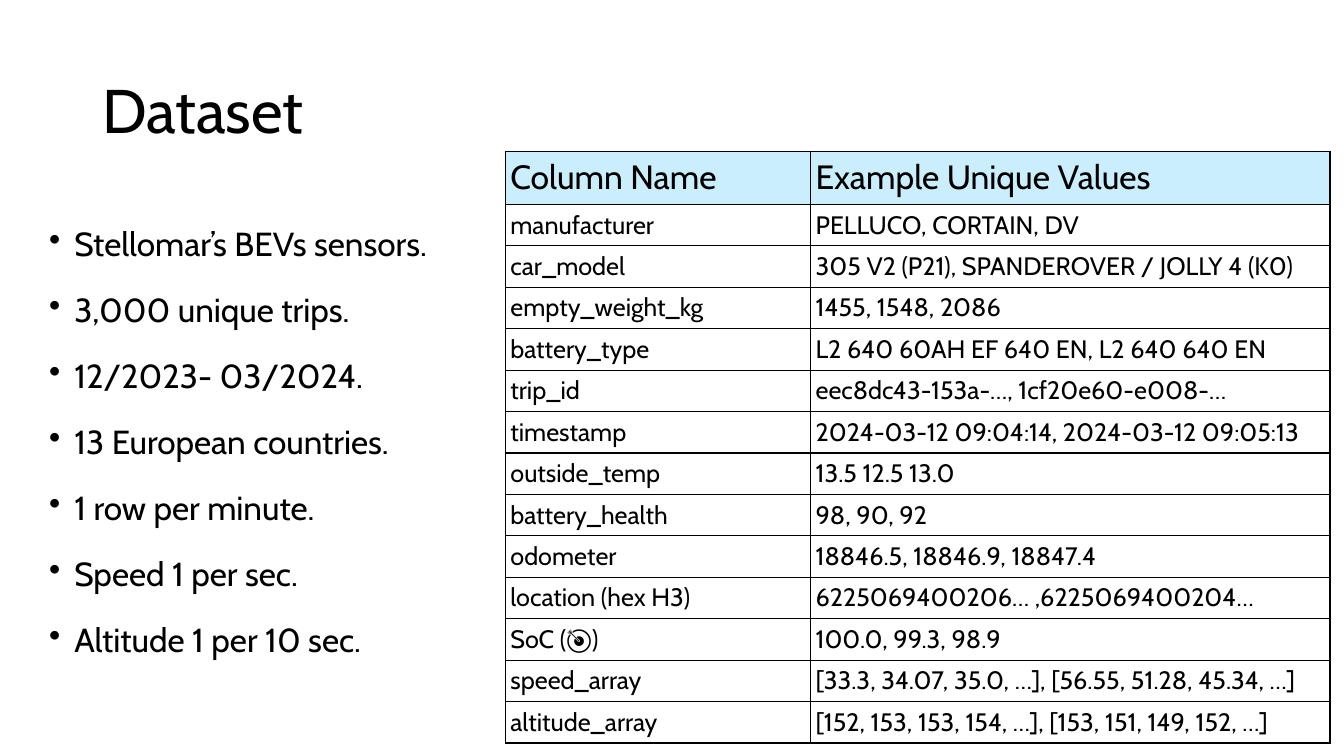
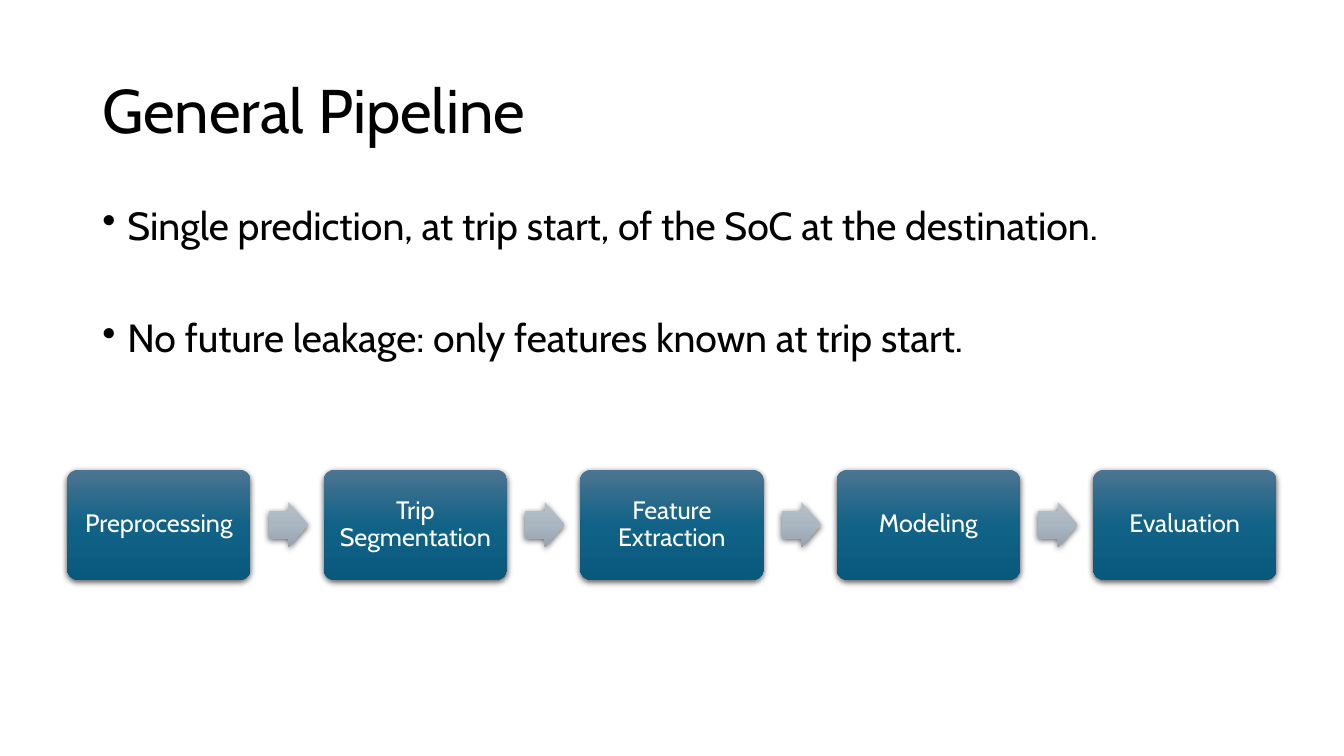
import pptx
import pptx.util
import pptx.dml.color
import pptx.enum.shapes
import pptx.enum.text
import pptx.oxml
import pptx.oxml.ns

Pt = pptx.util.Pt
RGB = pptx.dml.color.RGBColor
SHAPE = pptx.enum.shapes.MSO_SHAPE
ALIGN = pptx.enum.text.PP_ALIGN
ANCHOR = pptx.enum.text.MSO_ANCHOR

# Shared look
FONT = "Cabin"
BLACK = RGB(0x00, 0x00, 0x00)
WHITE = RGB(0xFF, 0xFF, 0xFF)
SKY = RGB(0xCA, 0xEE, 0xFB)
STEP = [RGB(0x4C, 0x75, 0x91), RGB(0x10, 0x62, 0x87), RGB(0x09, 0x59, 0x7D)]
ARROW = [RGB(0xB6, 0xBF, 0xC9), RGB(0xAA, 0xB7, 0xC2), RGB(0x96, 0xA2, 0xAE)]
TITLE = dict(size=44, lead=0.9, anchor=ANCHOR.MIDDLE)
EDGE = Pt(1)
NS = pptx.oxml.ns.nsdecls("a")


def write(frame, lines, size=18, color=BLACK, lead=1.0, gap=0, bullet=False,
          align=ALIGN.LEFT, anchor=ANCHOR.TOP, inset=(7.2, 3.6)):
    frame.word_wrap = True
    frame.vertical_anchor = anchor
    frame.margin_left = frame.margin_right = Pt(inset[0])
    frame.margin_top = frame.margin_bottom = Pt(inset[1])
    for i, line in enumerate(lines):
        para = frame.add_paragraph() if i else frame.paragraphs[0]
        if bullet:
            props = para._p.get_or_add_pPr()
            props.set("marL", str(Pt(18)))
            props.set("indent", str(Pt(-18)))
            props.append(pptx.oxml.parse_xml(f'<a:buChar {NS} char="•"/>'))
        para.alignment = align
        para.line_spacing = lead
        para.space_before = Pt(gap if i else 0)
        run = para.add_run()
        run.text = line
        run.font.name = FONT
        run.font.size = Pt(size)
        run.font.bold = False
        run.font.color.rgb = color


def block(slide, kind, left, top, width, height, tones):
    shape = slide.shapes.add_shape(kind, Pt(left), Pt(top), Pt(width), Pt(height))
    stops = "".join(
        f'<a:gs pos="{i * 50000}"><a:srgbClr val="{tone}"/></a:gs>'
        for i, tone in enumerate(tones))
    props = shape._element.spPr
    props.append(pptx.oxml.parse_xml(
        f'<a:gradFill {NS} rotWithShape="1"><a:gsLst>{stops}</a:gsLst>'
        '<a:lin ang="5400000" scaled="0"/></a:gradFill>'))
    shape.line.fill.background()
    props.append(pptx.oxml.parse_xml(
        f'<a:effectLst {NS}><a:outerShdw blurRad="{Pt(4.5)}" dist="{Pt(1.5)}" '
        f'dir="5400000" algn="ctr" rotWithShape="0"><a:srgbClr val="{BLACK}">'
        '<a:alpha val="63000"/></a:srgbClr></a:outerShdw></a:effectLst>'))
    return shape


deck = pptx.Presentation()
deck.slide_width, deck.slide_height = Pt(960), Pt(540)

# Slides with their titles
pages = []
for name in ["Dataset", "General Pipeline"]:
    page = deck.slides.add_slide(deck.slide_layouts[6])
    box = page.shapes.add_textbox(Pt(66), Pt(28.8), Pt(828), Pt(104.4))
    write(box.text_frame, [name], **TITLE)
    pages.append(page)
data, flow = pages

# Dataset: table of columns
rows = [
    ("Column Name", "Example Unique Values"),
    ("manufacturer", "PELLUCO, CORTAIN, DV"),
    ("car_model", "305 V2 (P21), SPANDEROVER / JOLLY 4 (K0)"),
    ("empty_weight_kg", "1455, 1548, 2086"),
    ("battery_type", "L2 640 60AH EF 640 EN, L2 640 640 EN"),
    ("trip_id", "eec8dc43-153a-…, 1cf20e60-e008-…"),
    ("timestamp", "2024-03-12 09:04:14, 2024-03-12 09:05:13"),
    ("outside_temp", "13.5 12.5 13.0"),
    ("battery_health", "98, 90, 92"),
    ("odometer", "18846.5, 18846.9, 18847.4"),
    ("location (hex H3)", "6225069400206… ,6225069400204…"),
    ("SoC (🎯)", "100.0, 99.3, 98.9"),
    ("speed_array", "[33.3, 34.07, 35.0, …], [56.55, 51.28, 45.34, …]"),
    ("altitude_array", "[152, 153, 153, 154, …], [153, 151, 149, 152, …]"),
]
table = data.shapes.add_table(
    len(rows), 2, Pt(361), Pt(108), Pt(589), Pt(422.8)).table
table.first_row = table.horz_banding = False
for col, width in zip(table.columns, [218, 371]):
    col.width = Pt(width)
for r, row in enumerate(rows):
    table.rows[r].height = Pt(29.6 if r else 38)
    for c, value in enumerate(row):
        cell = table.cell(r, c)
        write(cell.text_frame, [value], size=18 if r else 24)
        cell.vertical_anchor = ANCHOR.MIDDLE
        cell.margin_left = cell.margin_right = Pt(3.6)
        cell.margin_top = cell.margin_bottom = Pt(1.5)
        if r:
            cell.fill.background()
        else:
            cell.fill.solid()
            cell.fill.fore_color.rgb = SKY
        for i, side in enumerate("LRTB"):
            cell._tc.get_or_add_tcPr().insert(i, pptx.oxml.parse_xml(
                f'<a:ln{side} {NS} w="{EDGE}"><a:solidFill>'
                f'<a:srgbClr val="{BLACK}"/></a:solidFill></a:ln{side}>'))

# Dataset: facts
facts = [
    "Stellomar’s BEVs sensors.",
    "3,000 unique trips.",
    "12/2023- 03/2024.",
    "13 European countries.",
    "1 row per minute.",
    "Speed 1 per sec.",
    "Altitude 1 per 10 sec.",
]
box = data.shapes.add_textbox(Pt(28), Pt(147.6), Pt(828), Pt(342.7))
write(box.text_frame, facts, size=23.8, lead=1.3, gap=10, bullet=True)

# Pipeline: goals
goals = [
    "Single prediction, at trip start, of the SoC at the destination.",
    "No future leakage: only features known at trip start.",
]
box = flow.shapes.add_textbox(Pt(66), Pt(144), Pt(828), Pt(342.7))
write(box.text_frame, goals, size=28, lead=0.9, gap=50, bullet=True)

# Pipeline: steps joined by arrows
steps = ["Preprocessing", "Trip Segmentation", "Feature Extraction",
         "Modeling", "Evaluation"]
for i, step in enumerate(steps):
    left = 48 + i * 183.2
    card = block(flow, SHAPE.ROUNDED_RECTANGLE, left, 335.5, 131, 78.6, STEP)
    card.adjustments[0] = 0.1
    write(card.text_frame, [step], color=WHITE, lead=0.9, align=ALIGN.CENTER,
          anchor=ANCHOR.MIDDLE, inset=(5, 5))
    if i < len(steps) - 1:
        arrow = block(flow, SHAPE.RIGHT_ARROW, left + 144, 358.6, 28, 32.4, ARROW)
        arrow.adjustments[0] = 0.6

deck.save("out.pptx")
